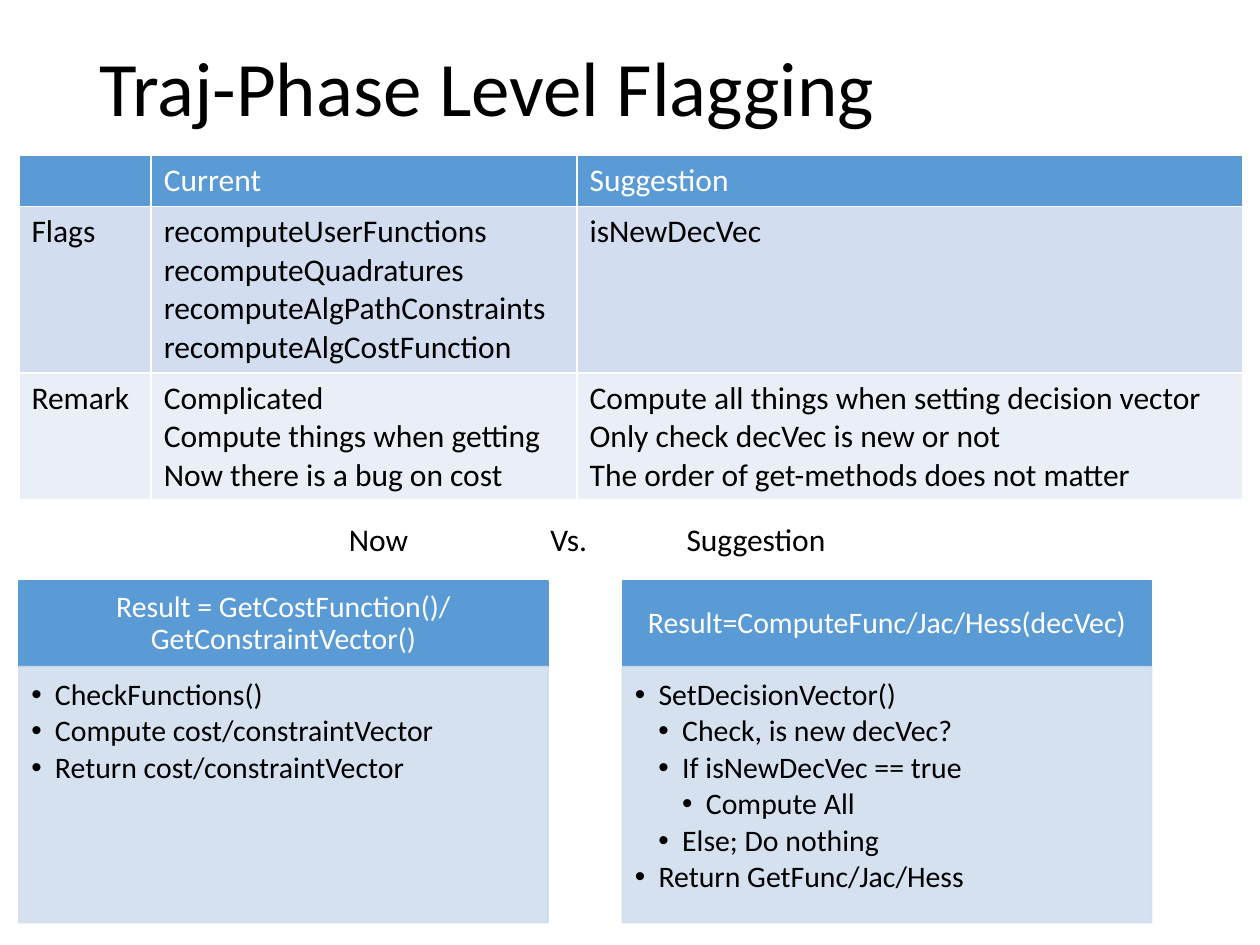
"""Build the Traj-Phase Level Flagging slide."""
from lxml import etree
from pptx import Presentation, util as u
from pptx.dml.color import RGBColor
from pptx.enum import shapes, text
from pptx.oxml import ns

BLACK = RGBColor(0x00, 0x00, 0x00)
WHITE = RGBColor(0xFF, 0xFF, 0xFF)
BLUE = RGBColor(0x5B, 0x9B, 0xD5)
LIGHT = RGBColor(0xD2, 0xDE, 0xEF)
PALE = RGBColor(0xEA, 0xEF, 0xF7)

deck = Presentation()
deck.slide_width, deck.slide_height = u.Inches(10), u.Inches(7.5)
page = deck.slides.add_slide(deck.slide_layouts[6])
column, row = deck.slide_width / 100, deck.slide_height / 100


def area(left, top, width, height):
    """Turn percentages of the slide into a position and size."""
    return [round(share * unit) for share, unit in zip((left, top, width, height), (column, row) * 2)]


def write(frame, words, size, colour, spacing=1.0):
    """Fill a text frame and format every run."""
    frame.text = words
    frame.word_wrap = True
    for para in frame.paragraphs:
        para.line_spacing = spacing
        for span in para.runs:
            span.font.name, span.font.size, span.font.bold = "Calibri", u.Pt(size), False
            span.font.color.rgb = colour


title = page.shapes.add_textbox(*area(6.9, 0, 86.2, 19.33))
write(title.text_frame, "Traj-Phase Level Flagging", 44, BLACK, 0.9)
title.text_frame.vertical_anchor = text.MSO_ANCHOR.MIDDLE

rows = [
    (5.47, BLUE, WHITE, ["", "Current", "Suggestion"]),
    (17.6, LIGHT, BLACK, [
        "Flags",
        "recomputeUserFunctions\nrecomputeQuadratures\nrecomputeAlgPathConstraints\nrecomputeAlgCostFunction",
        "isNewDecVec",
    ]),
    (13.47, PALE, BLACK, [
        "Remark",
        "Complicated\nCompute things when getting\nNow there is a bug on cost",
        "Compute all things when setting decision vector\nOnly check decVec is new or not\n"
        "The order of get-methods does not matter",
    ]),
]
table = page.shapes.add_table(3, 3, *area(1.5, 16.4, 97.1, 36.54)).table
for index, share in enumerate((10.5, 33.8, 52.8)):
    table.columns[index].width = round(share * column)
for line, (height, fill, colour, entries) in zip(table.rows, rows):
    line.height = round(height * row)
    for cell, words in zip(line.cells, entries):
        cell.fill.solid()
        cell.fill.fore_color.rgb = fill
        write(cell.text_frame, words, 18, colour)

caption = page.shapes.add_textbox(*area(18.9, 54.4, 56.2, 5.33))
write(caption.text_frame, "\tNow\tVs.\tSuggestion", 18, BLACK)
properties = caption.text_frame.paragraphs[0]._p.get_or_add_pPr()
stops = etree.SubElement(properties, ns.qn("a:tabLst"))
for share in (7.8, 23.8, 34.6):
    etree.SubElement(stops, ns.qn("a:tab"), pos=str(round(share * column)), algn="l")

panels = [
    (1.5, "Result = GetCostFunction()/\vGetConstraintVector()", [
        (1, "CheckFunctions()"),
        (1, "Compute cost/constraintVector"),
        (1, "Return cost/constraintVector"),
    ]),
    (49.4, "Result=ComputeFunc/Jac/Hess(decVec)", [
        (1, "SetDecisionVector()"),
        (2, "Check, is new decVec?"),
        (2, "If isNewDecVec == true"),
        (3, "Compute All"),
        (2, "Else; Do nothing"),
        (1, "Return GetFunc/Jac/Hess"),
    ]),
]
indent = round(1.88 * column)
for left, heading, steps in panels:
    header = page.shapes.add_shape(shapes.MSO_SHAPE.RECTANGLE, *area(left, 61.5, 42, 9.06))
    body = page.shapes.add_shape(shapes.MSO_SHAPE.RECTANGLE, *area(left, 70.56, 42, 27.07))
    for box, fill, words, colour, margins in (
        (header, BLUE, heading, WHITE, (0.13, 0.08, 0.13, 0.08)),
        (body, LIGHT, "\n".join(step for level, step in steps), BLACK, (0.1, 0.1, 0.13, 0.15)),
    ):
        box.shadow.inherit = False
        box.fill.solid()
        box.fill.fore_color.rgb = box.line.color.rgb = fill
        box.line.width = u.Pt(1)
        frame = box.text_frame
        frame.margin_left, frame.margin_top, frame.margin_right, frame.margin_bottom = map(u.Inches, margins)
        write(frame, words, 17, colour, 0.9)

    header.text_frame.vertical_anchor = text.MSO_ANCHOR.MIDDLE
    header.text_frame.paragraphs[0].alignment = text.PP_ALIGN.CENTER
    body.text_frame.vertical_anchor = text.MSO_ANCHOR.TOP
    for shade in body._element.spPr.iter(ns.qn("a:srgbClr")):
        etree.SubElement(shade, ns.qn("a:alpha"), val="90000")
    for para, (level, step) in zip(body.text_frame.paragraphs, steps):
        para.alignment = text.PP_ALIGN.LEFT
        para.level = level
        para.space_after = u.Pt(2.5)
        properties = para._p.get_or_add_pPr()
        properties.set("marL", str(level * indent))
        properties.set("indent", str(-indent))
        etree.SubElement(properties, ns.qn("a:buFont"), typeface="Arial")
        etree.SubElement(properties, ns.qn("a:buChar"), char="•")

deck.save("out.pptx")
